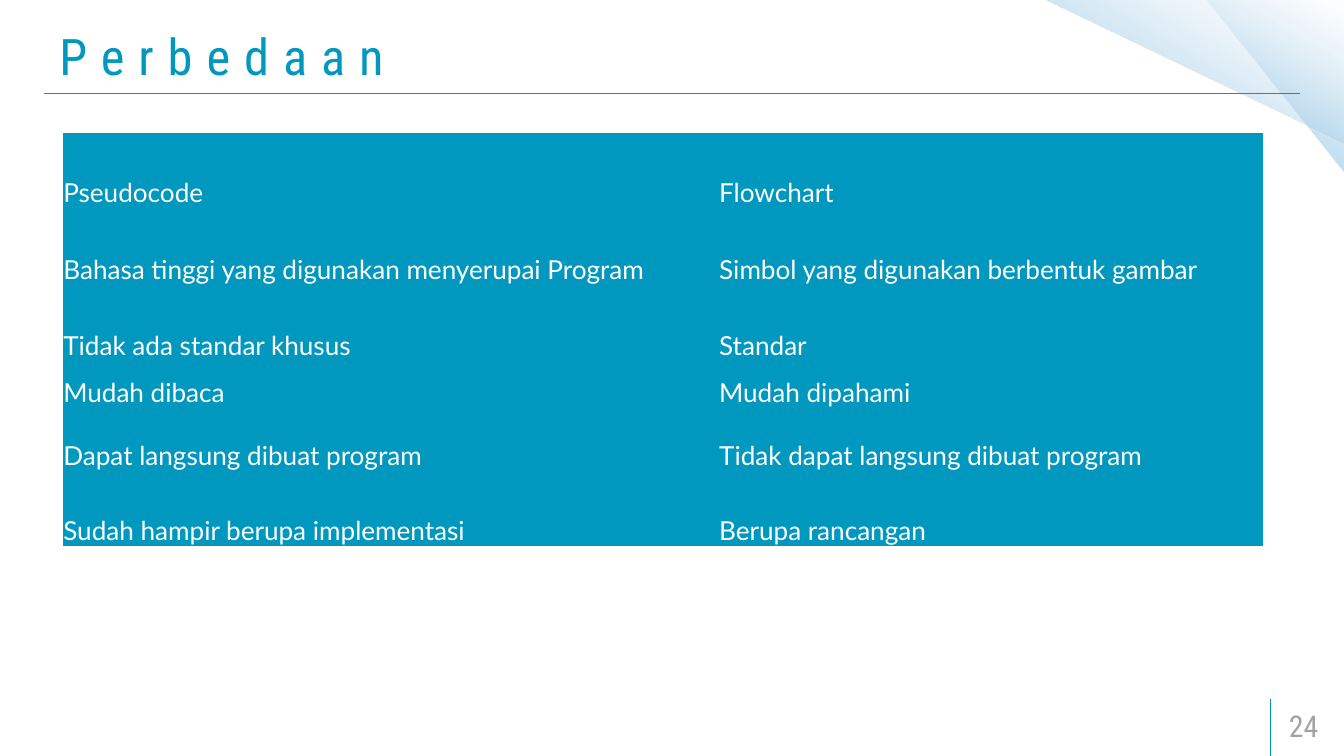
from dataclasses import dataclass

from lxml import etree
from pptx import Presentation
from pptx.dml.color import RGBColor
from pptx.enum.shapes import MSO_CONNECTOR as Connector, MSO_SHAPE as Shape
from pptx.enum.text import MSO_ANCHOR as Anchor, MSO_AUTO_SIZE as AutoSize, PP_ALIGN as Align
from pptx.oxml import parse_xml
from pptx.oxml.ns import nsdecls, qn
from pptx.util import Pt


@dataclass(frozen=True)
class Theme:
    accent: str = "0098BF"
    muted: str = "A2A2A2"
    white: str = "FFFFFF"
    heading_font: str = "Roboto Condensed"
    body_font: str = "Lato"
    title_size: int = 54
    number_size: int = 32
    body_size: int = 28
    # position, colour, opacity in percent
    gradient: tuple = ((0, "8FC8E8", 100), (50, "A4CEE9", 44), (100, "DEEDF6", 0))
    gradient_angle: int = 120


THEME = Theme()
SLIDE_WIDTH, SLIDE_HEIGHT = 1440, 810
TITLE_TEXT = "Perbedaan"
PAGE_NUMBER = "24"
COLUMN_WIDTHS = (702.7, 583.6)
ROW_HEIGHTS = (80.6, 82.8, 80.6, 50.4, 67.7, 80.6)
COMPARISON = (
    ("Pseudocode", "Flowchart"),
    ("Bahasa tinggi yang digunakan menyerupai Program", "Simbol yang digunakan berbentuk gambar"),
    ("Tidak ada standar khusus", "Standar"),
    ("Mudah dibaca", "Mudah dipahami"),
    ("Dapat langsung dibuat program", "Tidak dapat langsung dibuat program"),
    ("Sudah hampir berupa implementasi", "Berupa rancangan"),
)


def points(values):
    return [Pt(value) for value in values]


def format_paragraph(paragraph, font, size, color):
    paragraph.alignment = Align.LEFT
    paragraph.font.name = font
    paragraph.font.size = Pt(size)
    paragraph.font.color.rgb = RGBColor.from_string(color)


def format_frame(frame):
    frame.word_wrap = True
    frame.auto_size = AutoSize.NONE
    frame.vertical_anchor = Anchor.MIDDLE
    frame.margin_left = frame.margin_right = Pt(13)
    frame.margin_top = frame.margin_bottom = Pt(6.5)


def add_corner_triangle(slide, box):
    triangle = slide.shapes.add_shape(Shape.RIGHT_TRIANGLE, *points(box))
    triangle.rotation = 180
    triangle.shadow.inherit = False
    triangle.line.fill.background()
    stops = "".join(
        f'<a:gs pos="{position * 1000}"><a:srgbClr val="{color}">'
        f'<a:alpha val="{opacity * 1000}"/></a:srgbClr></a:gs>'
        for position, color, opacity in THEME.gradient
    )
    gradient = parse_xml(
        f'<a:gradFill {nsdecls("a")} rotWithShape="1"><a:gsLst>{stops}</a:gsLst>'
        f'<a:lin ang="{THEME.gradient_angle * 60000}" scaled="0"/></a:gradFill>'
    )
    triangle.element.spPr.find(qn("a:prstGeom")).addnext(gradient)


def add_rule(slide, start, end):
    rule = slide.shapes.add_connector(Connector.STRAIGHT, *points(start + end))
    rule.line.color.rgb = RGBColor.from_string(THEME.accent)
    rule.line.width = Pt(1)
    etree.SubElement(rule.element.spPr, qn("a:effectLst"))


def place_title(slide, box):
    title = slide.shapes.title
    title.left, title.top, title.width, title.height = points(box)
    format_frame(title.text_frame)
    paragraph = title.text_frame.paragraphs[0]
    run = paragraph.add_run()
    run.text = TITLE_TEXT
    format_paragraph(paragraph, THEME.heading_font, THEME.title_size, THEME.accent)
    run.font.element.set("spc", "1500") if hasattr(run.font, "element") else \
        run._r.get_or_add_rPr().set("spc", "1500")


def add_page_number(slide, box):
    frame = slide.shapes.add_textbox(*points(box)).text_frame
    format_frame(frame)
    frame.text = PAGE_NUMBER
    format_paragraph(frame.paragraphs[0], THEME.heading_font, THEME.number_size, THEME.muted)


def fill_cell(cell, text):
    cell.fill.solid()
    cell.fill.fore_color.rgb = RGBColor.from_string(THEME.accent)
    cell.vertical_anchor = Anchor.BOTTOM
    cell.margin_left = cell.margin_right = cell.margin_top = Pt(0.7)
    cell.margin_bottom = 0
    cell.text = text
    format_paragraph(cell.text_frame.paragraphs[0], THEME.body_font, THEME.body_size, THEME.white)
    # No visible borders between cells
    properties = cell._tc.get_or_add_tcPr()
    for index, side in enumerate(("lnL", "lnR", "lnT", "lnB")):
        border = parse_xml(f'<a:{side} {nsdecls("a")} w="0"><a:noFill/></a:{side}>')
        properties.insert(index, border)


def add_comparison_table(slide, left, top):
    box = (left, top, sum(COLUMN_WIDTHS), sum(ROW_HEIGHTS))
    table = slide.shapes.add_table(len(ROW_HEIGHTS), len(COLUMN_WIDTHS), *points(box)).table
    table.first_row = table.horz_banding = False
    for column, width in zip(table.columns, COLUMN_WIDTHS):
        column.width = Pt(width)
    for row, height, texts in zip(table.rows, ROW_HEIGHTS, COMPARISON):
        row.height = Pt(height)
        for cell, text in zip(row.cells, texts):
            fill_cell(cell, text)


def build_slide(presentation):
    slide = presentation.slides.add_slide(presentation.slide_layouts[5])
    slide.background.fill.solid()
    slide.background.fill.fore_color.rgb = RGBColor.from_string(THEME.white)
    add_corner_triangle(slide, (1293, 0, 147, 185))
    add_corner_triangle(slide, (1119, 0, 322.5, 153.5))
    add_rule(slide, (47.5, 100), (1392.5, 100))
    add_rule(slide, (1361.5, SLIDE_HEIGHT), (1361.5, 749))
    place_title(slide, (50.5, 15, 1318.5, 88.5))
    add_page_number(slide, (1368, 755.5, 71.5, 43))
    add_comparison_table(slide, 67.2, 142.6)


def main():
    presentation = Presentation()
    presentation.slide_width, presentation.slide_height = points((SLIDE_WIDTH, SLIDE_HEIGHT))
    build_slide(presentation)
    presentation.save("out.pptx")


if __name__ == "__main__":
    main()
